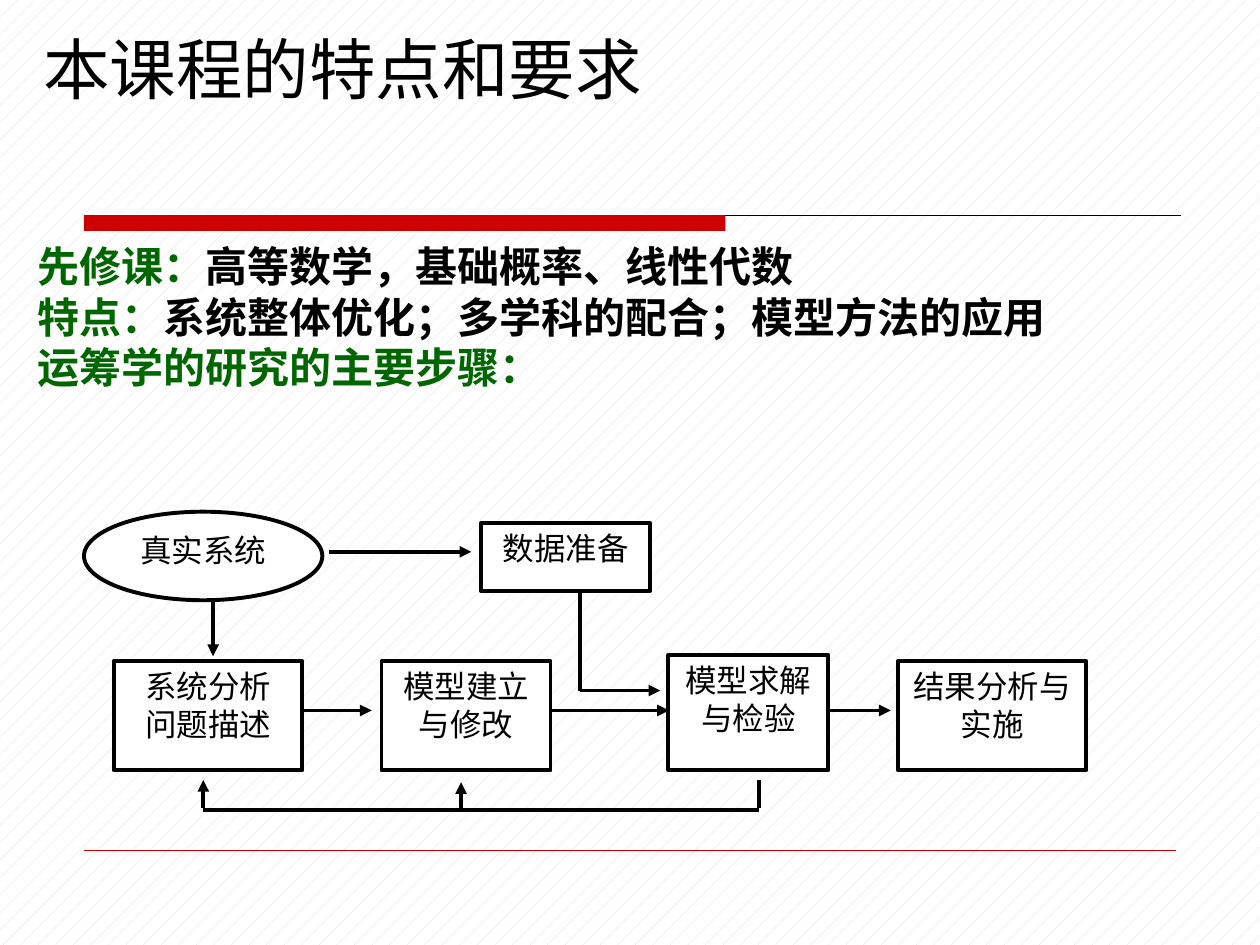
from lxml import etree
from pptx import Presentation
from pptx import util as u
from pptx.dml.color import RGBColor
from pptx.enum import dml, shapes, text
from pptx.oxml import ns

INK = {"black": "000000", "white": "FFFFFF", "red": "CC0000",
       "green": "006600", "grey": "DDDDDD"}


class Draw:
    """Hold the style and the current slide, and draw its elements."""

    def __init__(self, slide):
        self.slide = slide
        self.pen = 2.25
        self.size = 18
        self.font = "Open Sans"

    def ink(self, name):
        return RGBColor.from_string(INK[name])

    def back(self, fore, base):
        fill = self.slide.background.fill
        fill.patterned()
        fill.pattern = dml.MSO_PATTERN.PERCENT_5
        fill.fore_color.rgb = self.ink(fore)
        fill.back_color.rgb = self.ink(base)

    def words(self, frame, rows, size, font, bold=False, align=None):
        frame.word_wrap = True
        for i, row in enumerate(rows):
            para = frame.add_paragraph() if i else frame.paragraphs[0]
            para.alignment = align
            for words, color in row:
                run = para.add_run()
                run.text = words
                run.font.size = u.Pt(size)
                run.font.name = font
                run.font.bold = bold
                run.font.color.rgb = self.ink(color)

    def label(self, spot, rows, size, font, bold=False, low=False):
        box = self.slide.shapes.add_textbox(*map(u.Pt, spot))
        frame = box.text_frame
        frame.vertical_anchor = (text.MSO_ANCHOR.BOTTOM if low
                                 else text.MSO_ANCHOR.TOP)
        self.words(frame, rows, size, font, bold)

    def shape(self, kind, spot, fill, edge=None):
        item = self.slide.shapes.add_shape(kind, *map(u.Pt, spot))
        item.shadow.inherit = False
        item.fill.solid()
        item.fill.fore_color.rgb = self.ink(fill)
        if edge:
            item.line.color.rgb = self.ink(edge)
            item.line.width = u.Pt(self.pen)
        else:
            item.line.fill.background()
        return item

    def step(self, kind, spot, lines):
        frame = self.shape(kind, spot, "white", "black").text_frame
        frame.vertical_anchor = text.MSO_ANCHOR.TOP
        rows = [[(line, "black")] for line in lines]
        self.words(frame, rows, self.size, self.font,
                   align=text.PP_ALIGN.CENTER)

    def line(self, ends, color="black", width=None, head=False):
        item = self.slide.shapes.add_connector(
            shapes.MSO_CONNECTOR.STRAIGHT, *map(u.Pt, ends))
        item.line.color.rgb = self.ink(color)
        item.line.width = u.Pt(width or self.pen)
        if head:
            edge = item._element.spPr.find(ns.qn("a:ln"))
            tip = etree.SubElement(edge, ns.qn("a:tailEnd"))
            tip.set("type", "triangle")
        etree.SubElement(item._element.spPr, ns.qn("a:effectLst"))


deck = Presentation()
deck.slide_width, deck.slide_height = u.Pt(720), u.Pt(540)
draw = Draw(deck.slides.add_slide(deck.slide_layouts[6]))
RECT, OVAL = shapes.MSO_SHAPE.RECTANGLE, shapes.MSO_SHAPE.OVAL

draw.back("grey", "white")
draw.line((48, 123, 674.6, 123), width=0.75)
draw.shape(RECT, (48, 123, 366.5, 9), "red")
draw.line((48, 486, 672, 486), "red", 0.25)

draw.label((9, 9.4, 612, 56), [[(" 本课程的特点和要求", "black")]],
           38, "Times New Roman", low=True)
draw.label((14.4, 134, 640.8, 94.3), [
    [("先修课：", "green"), ("高等数学，基础概率、线性代数", "black")],
    [("特点：", "green"),
     ("系统整体优化；多学科的配合；模型方法的应用", "black")],
    [("运筹学的研究的主要步骤：", "green")],
], 24, "Times New Roman", bold=True)

STEPS = [
    (OVAL, (48, 292.4, 136.2, 50.6), ["真实系统"]),
    (RECT, (65, 377.8, 107.8, 62.4), ["系统分析", "问题描述"]),
    (RECT, (218, 377.8, 96.6, 62.4), ["模型建立与修改"]),
    (RECT, (382, 374.2, 91.4, 66), ["模型求解与检验"]),
    (RECT, (513, 377.8, 107.8, 62.4), ["结果分析与实施"]),
    (RECT, (275, 298.8, 96.6, 38.9), ["数据准备"]),
]
for kind, spot, lines in STEPS:
    draw.step(kind, spot, lines)

FLOW = 406
for left, right in [(172.8, 212.4), (314.6, 382.3), (473.4, 509)]:
    draw.line((left, FLOW, right, FLOW), head=True)
for ends in [(188, 315.3, 269.3, 315.3), (121.8, 343.4, 121.8, 375),
             (331.6, 394.6, 377.3, 394.6), (263.5, 463, 263.5, 447),
             (116.2, 461.6, 116.2, 445.7)]:
    draw.line(ends, head=True)
for ends in [(116, 463, 433.6, 463), (433.6, 445.7, 433.6, 461.6),
             (331.6, 338.4, 331.6, 394.6)]:
    draw.line(ends)

deck.save("out.pptx")
